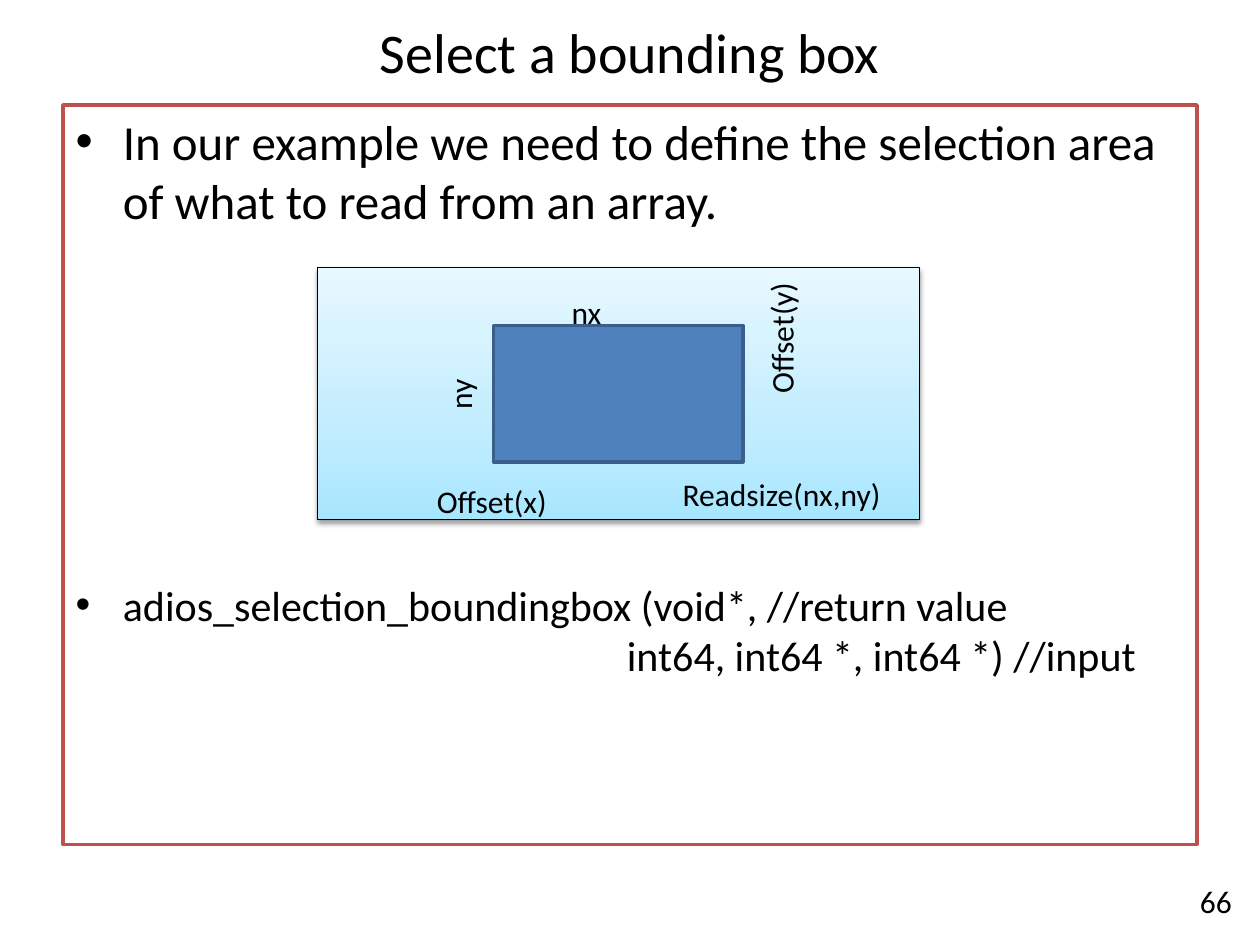
import copy

import pptx
import pptx.dml.color
import pptx.enum.shapes
import pptx.enum.text
import pptx.oxml
import pptx.oxml.ns
import pptx.util

Pt = pptx.util.Pt
RGBColor = pptx.dml.color.RGBColor
Align = pptx.enum.text.PP_ALIGN
Anchor = pptx.enum.text.MSO_ANCHOR
AutoSize = pptx.enum.text.MSO_AUTO_SIZE

BLACK = RGBColor(0x00, 0x00, 0x00)
WHITE = RGBColor(0xFF, 0xFF, 0xFF)
FRAME_RED = RGBColor(0xC0, 0x50, 0x4D)
SELECTION_BLUE = RGBColor(0x4F, 0x81, 0xBD)
SELECTION_EDGE = RGBColor(0x3A, 0x5F, 0x8C)
ARRAY_GRADIENT = [
    (0, RGBColor(0xA7, 0xE6, 0xFF)),
    (0.35, RGBColor(0xC1, 0xED, 0xFF)),
    (1, RGBColor(0xE7, 0xF8, 0xFF)),
]


class SlideBuilder:
    """Holds the text style and the slide being filled."""

    def __init__(self, slide, font_name="Calibri", label_size=18):
        self.slide = slide
        self.font_name = font_name
        self.label_size = label_size

    def place(self, shape, box):
        shape.left, shape.top, shape.width, shape.height = map(Pt, box)

    def add_run(self, paragraph, text, size):
        run = paragraph.add_run()
        run.text = text
        run.font.name = self.font_name
        run.font.size = Pt(size)
        run.font.color.rgb = BLACK

    def outline(self, shape, color, width):
        shape.line.color.rgb = color
        shape.line.width = Pt(width)

    def title(self, text, box):
        shape = self.slide.shapes.title
        self.place(shape, box)
        frame = shape.text_frame
        frame.auto_size = AutoSize.NONE
        frame.vertical_anchor = Anchor.MIDDLE
        frame.paragraphs[0].alignment = Align.CENTER
        self.add_run(frame.paragraphs[0], text, 32)

    def body(self, items, box):
        """Fill the list; an item is text, size, space before, plain indent or None."""
        shape = self.slide.placeholders[1]
        self.place(shape, box)
        shape.fill.solid()
        shape.fill.fore_color.rgb = WHITE
        self.outline(shape, FRAME_RED, 2)
        frame = shape.text_frame
        frame.auto_size = AutoSize.NONE
        for index, (text, size, space_before, indent) in enumerate(items):
            paragraph = frame.add_paragraph() if index else frame.paragraphs[0]
            paragraph.space_before = Pt(space_before)
            if indent is not None:
                properties = paragraph._p.get_or_add_pPr()
                properties.set("marL", str(Pt(indent)))
                properties.set("indent", "0")
                properties.append(pptx.oxml.parse_xml(
                    f"<a:buNone {pptx.oxml.ns.nsdecls('a')}/>"))
            self.add_run(paragraph, text, size)

    def rectangle(self, box, edge, edge_width):
        kind = pptx.enum.shapes.MSO_SHAPE.RECTANGLE
        shape = self.slide.shapes.add_shape(kind, *map(Pt, box))
        shape.shadow.inherit = False
        self.outline(shape, edge, edge_width)
        return shape

    def solid_rectangle(self, box, fill, edge, edge_width):
        shape = self.rectangle(box, edge, edge_width)
        shape.fill.solid()
        shape.fill.fore_color.rgb = fill

    def gradient_rectangle(self, box, stops, edge, edge_width):
        """Gradient running from bottom to top, with a soft shadow below."""
        shape = self.rectangle(box, edge, edge_width)
        shape.fill.gradient()
        shape.fill.gradient_angle = 90
        stop_list = shape._element.spPr.find(".//" + pptx.oxml.ns.qn("a:gsLst"))
        while len(stop_list) < len(stops):
            stop_list.append(copy.deepcopy(stop_list[-1]))
        for stop, (position, color) in zip(shape.fill.gradient_stops, stops):
            stop.position = position
            stop.color.rgb = color
        effects = shape._element.spPr.find(pptx.oxml.ns.qn("a:effectLst"))
        effects.append(pptx.oxml.parse_xml(
            f"<a:outerShdw {pptx.oxml.ns.nsdecls('a')} blurRad='{Pt(3.1)}' "
            f"dist='{Pt(1.6)}' dir='5400000' rotWithShape='0'>"
            f"<a:srgbClr val='{BLACK}'><a:alpha val='38000'/></a:srgbClr>"
            "</a:outerShdw>"))

    def label(self, text, box, rotation=0, align=Align.LEFT, wrap=False):
        shape = self.slide.shapes.add_textbox(*map(Pt, box))
        shape.rotation = rotation
        frame = shape.text_frame
        frame.word_wrap = wrap
        frame.vertical_anchor = Anchor.MIDDLE
        frame.paragraphs[0].alignment = align
        self.add_run(frame.paragraphs[0], text, self.label_size)


def main():
    presentation = pptx.Presentation()
    presentation.slide_width = Pt(720)
    presentation.slide_height = Pt(540)
    slide = presentation.slides.add_slide(presentation.slide_layouts[1])
    builder = SlideBuilder(slide)

    builder.title("Select a bounding box", (36, 6, 648, 46))
    builder.body([
        ("In our example we need to define the selection area "
         "of what to read from an array.", 28, 0, None),
        ("adios_selection_boundingbox (void*, //return value", 24, 200, None),
        ("int64, int64 *, int64 *) //input", 24, 0, 315),
    ], (36, 60, 648, 422.5))
    builder.label("66", (543, 500.5, 168, 29), align=Align.RIGHT, wrap=True)

    builder.gradient_rectangle((181.5, 153, 344, 144), ARRAY_GRADIENT, BLACK, 0.75)
    builder.solid_rectangle((282, 186, 142.5, 78), SELECTION_BLUE, SELECTION_EDGE, 2)

    builder.label("Offset(x)", (242.5, 271.5, 78.5, 29))
    builder.label("Offset(y)", (407, 178, 78.5, 29), rotation=270)
    builder.label("Readsize(nx,ny)", (383, 268, 129, 29))
    builder.label("nx", (319.5, 163.5, 32, 29))
    builder.label("ny", (246.5, 210.5, 32, 29), rotation=270)

    presentation.save("out.pptx")


if __name__ == "__main__":
    main()
